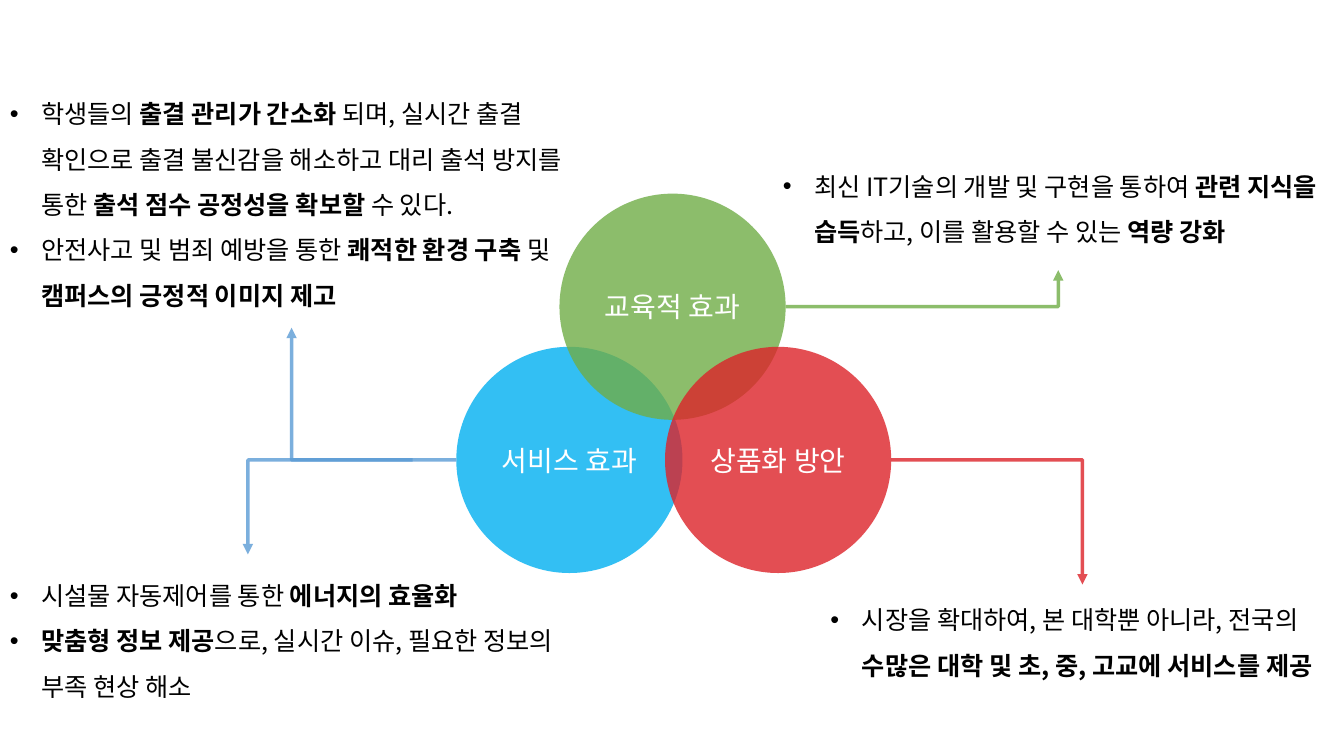
from dataclasses import dataclass

from lxml import etree
from pptx import Presentation
from pptx import util as u
from pptx.dml.color import RGBColor
from pptx.enum import shapes, text
from pptx.oxml.ns import qn


@dataclass(frozen=True)
class Theme:
    font: str = "Noto Sans CJK KR"
    body_size: int = 18
    label_size: int = 20
    line_width: float = 2.5
    opacity: int = 80
    ink: str = "000000"
    label: str = "FFFFFF"
    service: str = "00B0F0"
    service_line: str = "5B9BD5"
    education: str = "70AD47"
    product: str = "DD2229"


class EffectSlide:
    def __init__(self, prs, theme):
        self.theme = theme
        self.slide = prs.slides.add_slide(prs.slide_layouts[6])

    def add_run(self, p, words, size, color, bold=False):
        r = p.add_run()
        r.text = words
        r.font.name = self.theme.font
        r.font.size = u.Pt(size)
        r.font.bold = bold
        r.font.color.rgb = RGBColor.from_string(color)
        etree.SubElement(r.font._element, qn("a:ea"), typeface=self.theme.font)

    def paint(self, fill, color):
        """Give a fill a solid colour at the theme's opacity."""
        fill.solid()
        fill.fore_color.rgb = RGBColor.from_string(color)
        srgb = fill._xPr.find(qn("a:solidFill")).find(qn("a:srgbClr"))
        etree.SubElement(srgb, qn("a:alpha"), val=str(self.theme.opacity * 1000))

    def bullets(self, left, top, width, height, items):
        """Add bulleted text; each item is (space before, [(words, bold), ...])."""
        sp = self.slide.shapes.add_textbox(*map(u.Cm, (left, top, width, height)))
        tf = sp.text_frame
        tf.word_wrap = True
        tf.auto_size = text.MSO_AUTO_SIZE.SHAPE_TO_FIT_TEXT
        for i, (gap, runs) in enumerate(items):
            p = tf.add_paragraph() if i else tf.paragraphs[0]
            pPr = p._p.get_or_add_pPr()
            indent = u.Cm(0.79)
            pPr.set("marL", str(indent))
            pPr.set("indent", str(-indent))
            etree.SubElement(pPr, qn("a:buFont"), typeface="Arial")
            etree.SubElement(pPr, qn("a:buChar"), char="•")
            p.line_spacing = 1.5
            if gap:
                p.space_before = u.Pt(gap)
            for words, bold in runs:
                self.add_run(p, words, self.theme.body_size, self.theme.ink, bold)

    def circle(self, left, top, diameter, label, color):
        sp = self.slide.shapes.add_shape(
            shapes.MSO_SHAPE.OVAL, *map(u.Cm, (left, top, diameter, diameter)))
        sp.shadow.inherit = False
        sp.line.fill.background()
        self.paint(sp.fill, color)
        tf = sp.text_frame
        tf.word_wrap = True
        tf.vertical_anchor = text.MSO_ANCHOR.MIDDLE
        p = tf.paragraphs[0]
        p.alignment = text.PP_ALIGN.CENTER
        self.add_run(p, label, self.theme.label_size, self.theme.label)

    def bent_arrow(self, start, end, color):
        """Add an arrow that runs sideways, then turns once towards its end."""
        line = self.slide.shapes.add_connector(
            shapes.MSO_CONNECTOR.ELBOW, *map(u.Cm, start + end))
        spPr = line._element.spPr
        spPr.find(qn("a:prstGeom")).set("prst", "bentConnector2")
        line.line.width = u.Pt(self.theme.line_width)
        self.paint(line.line.fill, color)
        etree.SubElement(spPr.find(qn("a:ln")), qn("a:tailEnd"), type="triangle")
        etree.SubElement(spPr, qn("a:effectLst"))


def main():
    prs = Presentation()
    prs.slide_width, prs.slide_height = u.Cm(33.87), u.Cm(19.05)
    theme = Theme()
    s = EffectSlide(prs, theme)

    s.bullets(0, 1.98, 14.5, 16.4, [
        (0, [("학생들의 ", False), ("출결 관리가 간소화 ", True),
             ("되며, 실시간 출결 확인으로 출결 불신감을 해소하고 대리 출석 방지를 통한 ", False),
             ("출석 점수 공정성을 확보할 ", True), ("수 있다.", False)]),
        (0, [("안전사고 및 범죄 예방을 통한 ", False), ("쾌적한 환경 구축", True),
             (" 및 ", False), ("캠퍼스의 긍정적 이미지 제고", True)]),
        (182, [("시설물 자동제어를 통한 ", False), ("에너지의 효율화", True)]),
        (0, [("맞춤형 정보 제공", True),
             ("으로, 실시간 이슈, 필요한 정보의 부족 현상 해소", False)]),
    ])
    s.bullets(19.48, 3.8, 14.4, 2.55, [
        (0, [("최신 IT기술의 개발 및 구현을 통하여 ", False), ("관련 지식을 습득", True),
             ("하고, 이를 활용할 수 있는 ", False), ("역량 강화", True)]),
    ])
    s.bullets(20.68, 14.73, 13.18, 2.44, [
        (0, [("시장을 확대하여, 본 대학뿐 아니라, 전국의 ", False),
             ("수많은 대학 및 초, 중, 고교에 서비스를 제공", True)]),
    ])

    diameter = 5.7
    upper, lower = 4.88, 8.74
    service_x, education_x, product_x = 11.5, 14.1, 16.76
    s.circle(service_x, lower, diameter, "서비스 효과", theme.service)
    s.circle(education_x, upper, diameter, "교육적 효과", theme.education)
    s.circle(product_x, lower, diameter, "상품화 방안", theme.product)

    upper_mid, lower_mid = upper + diameter / 2, lower + diameter / 2
    for start, end, color in (
        ((service_x, lower_mid), (7.35, 8.26), theme.service_line),
        ((10.4, lower_mid), (6.25, 13.97), theme.service_line),
        ((education_x + diameter, upper_mid), (26.67, 6.81), theme.education),
        ((product_x + diameter, lower_mid), (27.28, 14.73), theme.product),
    ):
        s.bent_arrow(start, end, color)

    prs.save("out.pptx")


if __name__ == "__main__":
    main()
